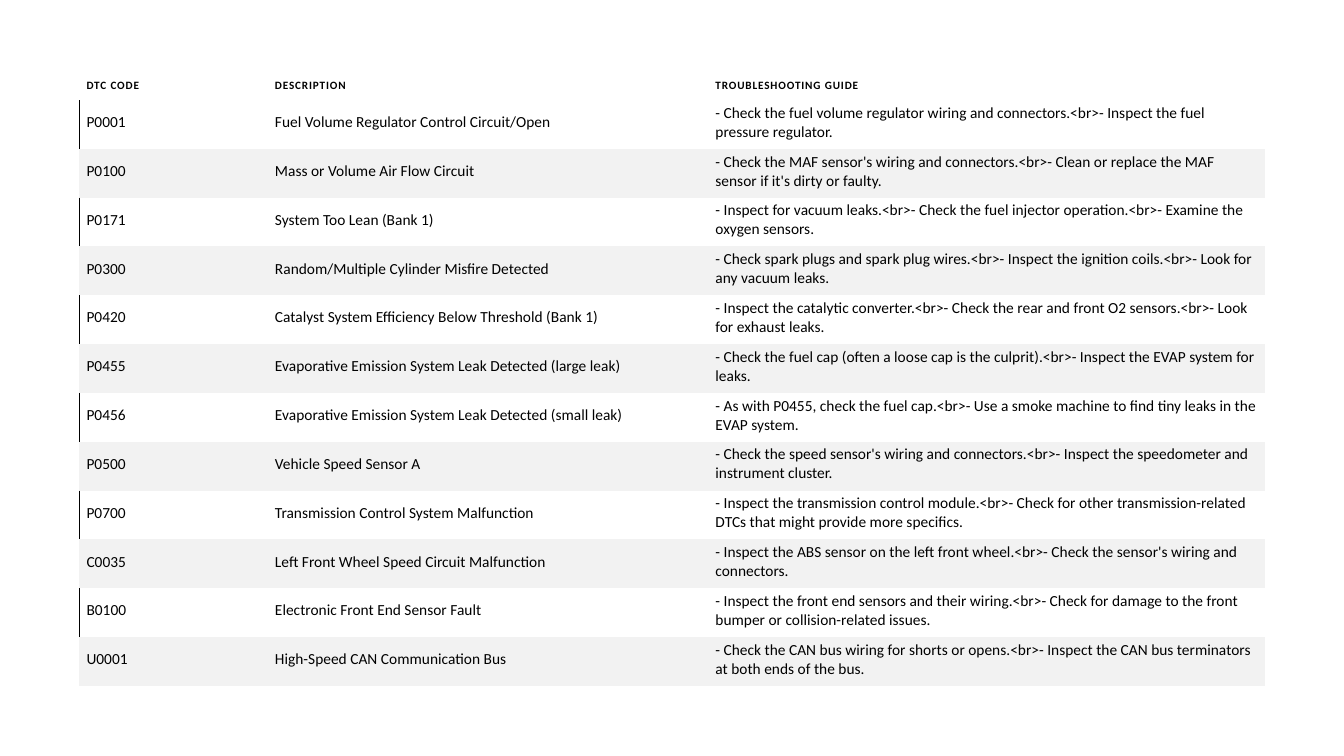
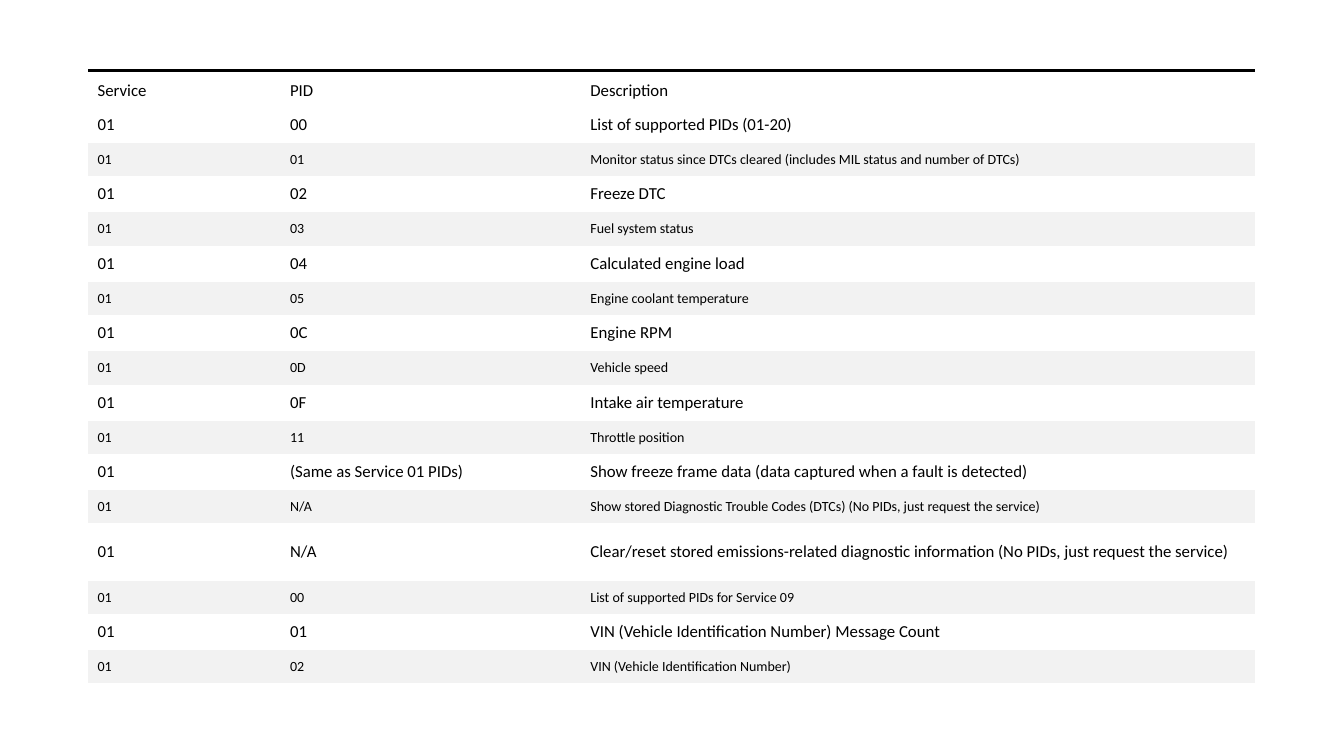
from lxml import etree
from pptx import Presentation
from pptx.dml.color import RGBColor
from pptx.enum.text import MSO_ANCHOR
from pptx.oxml.ns import qn
from pptx.util import Cm, Pt

BOTTOM, MIDDLE = MSO_ANCHOR.BOTTOM, MSO_ANCHOR.MIDDLE
BLACK = RGBColor(0x00, 0x00, 0x00)
BAND = RGBColor(0xF2, 0xF2, 0xF2)
FONT = "Calibri"
TABLE_TOP = 1.78
BLANK_LAYOUT = 6

# Content: the first row of each list is the header
TROUBLE_CODES = [
    ("DTC CODE", "DESCRIPTION", "TROUBLESHOOTING GUIDE"),
    ("P0001", "Fuel Volume Regulator Control Circuit/Open",
     "- Check the fuel volume regulator wiring and connectors.<br>"
     "- Inspect the fuel pressure regulator."),
    ("P0100", "Mass or Volume Air Flow Circuit",
     "- Check the MAF sensor's wiring and connectors.<br>"
     "- Clean or replace the MAF sensor if it's dirty or faulty."),
    ("P0171", "System Too Lean (Bank 1)",
     "- Inspect for vacuum leaks.<br>- Check the fuel injector operation.<br>"
     "- Examine the oxygen sensors."),
    ("P0300", "Random/Multiple Cylinder Misfire Detected",
     "- Check spark plugs and spark plug wires.<br>"
     "- Inspect the ignition coils.<br>- Look for any vacuum leaks."),
    ("P0420", "Catalyst System Efficiency Below Threshold (Bank 1)",
     "- Inspect the catalytic converter.<br>"
     "- Check the rear and front O2 sensors.<br>- Look for exhaust leaks."),
    ("P0455", "Evaporative Emission System Leak Detected (large leak)",
     "- Check the fuel cap (often a loose cap is the culprit).<br>"
     "- Inspect the EVAP system for leaks."),
    ("P0456", "Evaporative Emission System Leak Detected (small leak)",
     "- As with P0455, check the fuel cap.<br>"
     "- Use a smoke machine to find tiny leaks in the EVAP system."),
    ("P0500", "Vehicle Speed Sensor A",
     "- Check the speed sensor's wiring and connectors.<br>"
     "- Inspect the speedometer and instrument cluster."),
    ("P0700", "Transmission Control System Malfunction",
     "- Inspect the transmission control module.<br>"
     "- Check for other transmission-related DTCs that might provide more specifics."),
    ("C0035", "Left Front Wheel Speed Circuit Malfunction",
     "- Inspect the ABS sensor on the left front wheel.<br>"
     "- Check the sensor's wiring and connectors."),
    ("B0100", "Electronic Front End Sensor Fault",
     "- Inspect the front end sensors and their wiring.<br>"
     "- Check for damage to the front bumper or collision-related issues."),
    ("U0001", "High-Speed CAN Communication Bus",
     "- Check the CAN bus wiring for shorts or opens.<br>"
     "- Inspect the CAN bus terminators at both ends of the bus."),
]
PARAMETERS = [
    ("00", "List of supported PIDs (01-20)"),
    ("01", "Monitor status since DTCs cleared (includes MIL status and number of DTCs)"),
    ("02", "Freeze DTC"),
    ("03", "Fuel system status"),
    ("04", "Calculated engine load"),
    ("05", "Engine coolant temperature"),
    ("0C", "Engine RPM"),
    ("0D", "Vehicle speed"),
    ("0F", "Intake air temperature"),
    ("11", "Throttle position"),
    ("(Same as Service 01 PIDs)",
     "Show freeze frame data (data captured when a fault is detected)"),
    ("N/A", "Show stored Diagnostic Trouble Codes (DTCs) (No PIDs, just request the service)"),
    ("N/A", "Clear/reset stored emissions-related diagnostic information "
            "(No PIDs, just request the service)"),
    ("00", "List of supported PIDs for Service 09"),
    ("01", "VIN (Vehicle Identification Number) Message Count"),
    ("02", "VIN (Vehicle Identification Number)"),
]
SERVICES = [("Service", "PID", "Description")] + [("01", *row) for row in PARAMETERS]

# Table formats: lengths in cm, margins as left, top, right, bottom.
# "plain" and "banded" rows alternate below the header.
TABLES = [
    {
        "rows": TROUBLE_CODES, "left": 2.0, "columns": (4.75, 11.1, 14.02),
        "special_heights": {},
        "header": {"height": 0.74, "size": 8, "bold": True, "spacing": 60,
                   "margins": (0.18, 0.18, 0.18, 0.18)},
        "plain": {"height": 1.23, "size": 11, "margins": (0.18, 0.08, 0.18, 0.18),
                  "first_cell_borders": {"L": 1}},
        "banded": {"height": 1.23, "size": 11, "margins": (0.18, 0.08, 0.18, 0.18)},
    },
    {
        "rows": SERVICES, "left": 2.23, "columns": (4.85, 7.57, 16.99),
        "special_heights": {13: 1.44},
        "header": {"height": 0.91, "size": 12, "margins": (0.23, 0.15, 0.23, 0.15),
                   "borders": {"T": 2.25}},
        "plain": {"height": 0.91, "size": 12, "margins": (0.23, 0.15, 0.23, 0.15)},
        "banded": {"height": 0.84, "size": 10, "margins": (0.23, 0.15, 0.23, 0.15)},
    },
]


def set_borders(cell, widths):
    """Draw the sides named in widths (points) and clear the others."""
    properties = cell._tc.get_or_add_tcPr()
    for side in "LRTB":
        line = etree.SubElement(properties, qn(f"a:ln{side}"))
        if side in widths:
            line.set("w", str(Pt(widths[side])))
            fill = etree.SubElement(line, qn("a:solidFill"))
            etree.SubElement(fill, qn("a:srgbClr")).set("val", str(BLACK))
        else:
            line.set("w", "0")
            etree.SubElement(line, qn("a:noFill"))


def format_cell(cell, text, kind, style, borders):
    set_borders(cell, borders)
    if kind == "banded":
        cell.fill.solid()
        cell.fill.fore_color.rgb = BAND
    else:
        cell.fill.background()
    cell.vertical_anchor = BOTTOM if kind == "header" else MIDDLE
    for side, margin in zip(("left", "top", "right", "bottom"), style["margins"]):
        setattr(cell, f"margin_{side}", Cm(margin))
    span = cell.text_frame.paragraphs[0].add_run()
    span.text = text
    font_values = {"name": FONT, "size": Pt(style["size"]), "bold": style.get("bold", False)}
    for name, value in font_values.items():
        setattr(span.font, name, value)
    span.font.color.rgb = BLACK
    if "spacing" in style:
        span._r.get_or_add_rPr().set("spc", str(style["spacing"]))


def add_banded_table(page, layout):
    rows, columns = layout["rows"], layout["columns"]
    kinds = ["header"] + [("banded", "plain")[i % 2] for i in range(1, len(rows))]
    heights = [layout["special_heights"].get(i, layout[kind]["height"])
               for i, kind in enumerate(kinds)]
    frame = page.shapes.add_table(len(rows), len(columns), Cm(layout["left"]), Cm(TABLE_TOP),
                                  Cm(sum(columns)), Cm(sum(heights)))
    table = frame.table
    table.first_row = table.horz_banding = False
    for column, width in zip(table.columns, columns):
        column.width = Cm(width)
    for i, (texts, kind) in enumerate(zip(rows, kinds)):
        table.rows[i].height = Cm(heights[i])
        style = layout[kind]
        for j, text in enumerate(texts):
            borders = dict(style.get("borders", {}))
            if j == 0:
                borders.update(style.get("first_cell_borders", {}))
            format_cell(table.cell(i, j), text, kind, style, borders)


def main():
    deck = Presentation()
    deck.slide_width, deck.slide_height = Cm(33.87), Cm(19.05)
    for layout in TABLES:
        page = deck.slides.add_slide(deck.slide_layouts[BLANK_LAYOUT])
        add_banded_table(page, layout)
    deck.save("out.pptx")


if __name__ == "__main__":
    main()
